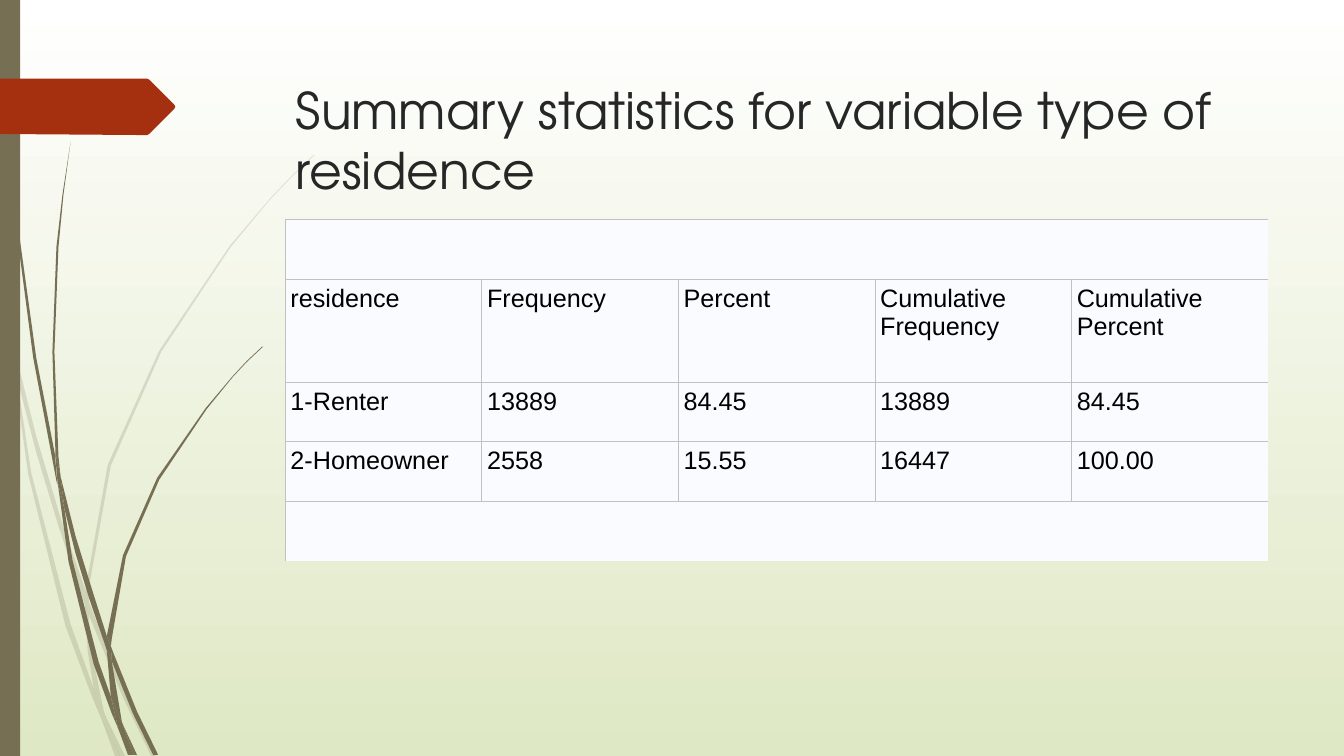
import pptx
import pptx.util
import pptx.dml.color
import pptx.enum.shapes
import pptx.enum.text
import pptx.oxml
import pptx.oxml.ns

Cm, Pt = pptx.util.Cm, pptx.util.Pt
tone = pptx.dml.color.RGBColor.from_string
theme = {
    "sky": "FFFFFF", "field": "DFE8C4", "stem": "766F54", "tag": "A53010",
    "title": {"name": "TeX Gyre Adventor", "size": Pt(36)}, "ink": "262626",
    "cell": {"name": "Arial", "size": Pt(18)}, "text": "000000",
    "pane": "FAFBFE", "rule": "C1C1C1",
}
unit = Cm(0.0254)  # outlines are in hundredths of an inch


def style(item, values):
    for key, value in values.items():
        setattr(item, key, value)


def paint(shape, color, alpha=100):
    shape.shadow.inherit = False
    shape.fill.solid()
    shape.fill.fore_color.rgb = tone(color)
    shape.line.fill.background()
    if alpha < 100:
        node = shape._element.spPr.find(".//" + pptx.oxml.ns.qn("a:srgbClr"))
        node.append(pptx.oxml.parse_xml(
            f'<a:alpha {pptx.oxml.ns.nsdecls("a")} val="{alpha * 1000}"/>'))


deck = pptx.Presentation()
style(deck, {"slide_width": Cm(33.87), "slide_height": Cm(19.05)})
slide = deck.slides.add_slide(deck.slide_layouts[6])

# Background fades from top to bottom
back = slide.background.fill
back.gradient()
back.gradient_angle = 270
for stop, name, place in zip(back.gradient_stops, ("sky", "field"), (0, 1)):
    stop.color.rgb = tone(theme[name])
    stop.position = place

# Grass blades, each an outline of x,y points
pale = [
    "11,350 9,322 0,282 0,299 10,344",
    "58,522 84,599 85,586 62,520 36,433 14,345 17,376 36,449",
    "92,607 88,596 88,610 123,694 150,750 155,750 127,692",
    "119,750 124,750 105,711",
    "93,683 70,619 31,469 17,376 11,350 28,470 65,621 92,693 101,714 99,707",
    "84,599 87,646 93,683 96,692 105,711 103,706 91,646 88,610 88,608",
    "88,584 110,462 160,349 229,245 268,198 290,175 312,154 312,153 289,175 "
    "268,197 228,244 158,348 107,461 85,584 85,586 88,596",
    "101,714 114,750 119,750",
    "88,608 88,610 88,596 85,586 84,599",
    "96,692 93,683 99,707 101,714 119,750 105,711",
]
dark = [
    "7,110 17,233 33,355 56,477 57,481 55,457 55,453 36,355 19,232 8,109 5,48 4,0 3,0 4,48",
    "88,592 106,645 106,633 106,631 93,590 75,532 60,472 64,505 75,549",
    "113,649 110,641 111,656 132,708 152,749 157,749 136,706",
    "110,691 98,657 72,556 64,505 57,477 68,557 93,659 111,708 117,722 116,717",
    "60,472 58,453 54,349 58,245 63,193 70,141 62,193 56,245 52,349 55,449",
    "133,749 136,749 122,719",
    "57,477 64,505 60,472 55,449 55,453",
    "111,633 125,552 158,476 205,406 231,374 245,359 261,344 260,344 245,358 "
    "231,373 204,405 156,474 122,551 106,631 110,641",
    "117,722 127,749 131,749",
    "106,645 110,691 116,706 122,719 121,716 111,656 109,651",
    "106,645 109,651 111,656 110,641 106,631 106,633",
    "116,706 110,691 116,717 117,722 130,749 133,749 122,719",
]
for blades, alpha in ((pale, 20), (dark, 100)):
    group = slide.shapes.add_group_shape()
    for blade in blades:
        first, *others = [tuple(map(int, pair.split(","))) for pair in blade.split()]
        form = group.shapes.build_freeform(*first, scale=unit)
        form.add_line_segments(others, close=True)
        paint(form.convert_to_shape(), theme["stem"], alpha)

# Side bar and arrow tag
bar = slide.shapes.add_shape(pptx.enum.shapes.MSO_SHAPE.RECTANGLE, 0, 0, Cm(0.51), deck.slide_height)
paint(bar, theme["stem"])
form = slide.shapes.build_freeform(0, 78, scale=unit)
form.add_line_segments([(146, 78), (148, 79), (173, 104), (174, 106), (173, 108),
                        (148, 133), (146, 134), (136, 134), (0, 133)], close=True)
paint(form.convert_to_shape(), theme["tag"])

# Title
box = slide.shapes.add_textbox(Cm(7.21), Cm(1.73), Cm(24.77), Cm(3.56))
style(box.text_frame, {"word_wrap": True, "vertical_anchor": pptx.enum.text.MSO_ANCHOR.MIDDLE})
run = box.text_frame.paragraphs[0].add_run()
run.text = "Summary statistics for variable type of residence"
style(run.font, theme["title"])
run.font.color.rgb = tone(theme["ink"])

# Table, with an empty merged row above and below
rows = [
    [""] * 5,
    ["residence", "Frequency", "Percent", "Cumulative\vFrequency", "Cumulative\vPercent"],
    ["1-Renter", "13889", "84.45", "13889", "84.45"],
    ["2-Homeowner", "2558", "15.55", "16447", "100.00"],
    [""] * 5,
]
last = len(rows) - 1
table = slide.shapes.add_table(5, 5, Cm(7.19), Cm(5.54), Cm(24.77), Cm(8.59)).table
style(table, {"first_row": False, "horz_banding": False})
for col in table.columns:
    col.width = Cm(24.77 / 5)
for row, height in zip(table.rows, (1.5, 2.59, 1.5, 1.5, 1.5)):
    row.height = Cm(height)
for r in (0, last):
    table.cell(r, 0).merge(table.cell(r, 4))
inset = dict.fromkeys(("margin_left", "margin_right", "margin_top", "margin_bottom"), Cm(0.13))
for r, row in enumerate(rows):
    for c, words in enumerate(row):
        cell = table.cell(r, c)
        if cell.is_spanned:
            continue
        style(cell, inset)
        cell.fill.solid()
        cell.fill.fore_color.rgb = tone(theme["pane"])
        if words:
            cell.text = words
        for run in cell.text_frame.paragraphs[0].runs:
            style(run.font, theme["cell"])
            run.font.color.rgb = tone(theme["text"])
        # The right and bottom edges of the table stay open
        bare = {"R": c == 4 or cell.is_merge_origin, "B": r == last}
        for slot, side in enumerate("LRTB"):
            ink = ("<a:noFill/>" if bare.get(side) else
                   f'<a:solidFill><a:srgbClr val="{theme["rule"]}"/></a:solidFill>')
            cell._tc.get_or_add_tcPr().insert(slot, pptx.oxml.parse_xml(
                f'<a:ln{side} {pptx.oxml.ns.nsdecls("a")} w="{Pt(0.75)}">{ink}</a:ln{side}>'))

deck.save("out.pptx")
